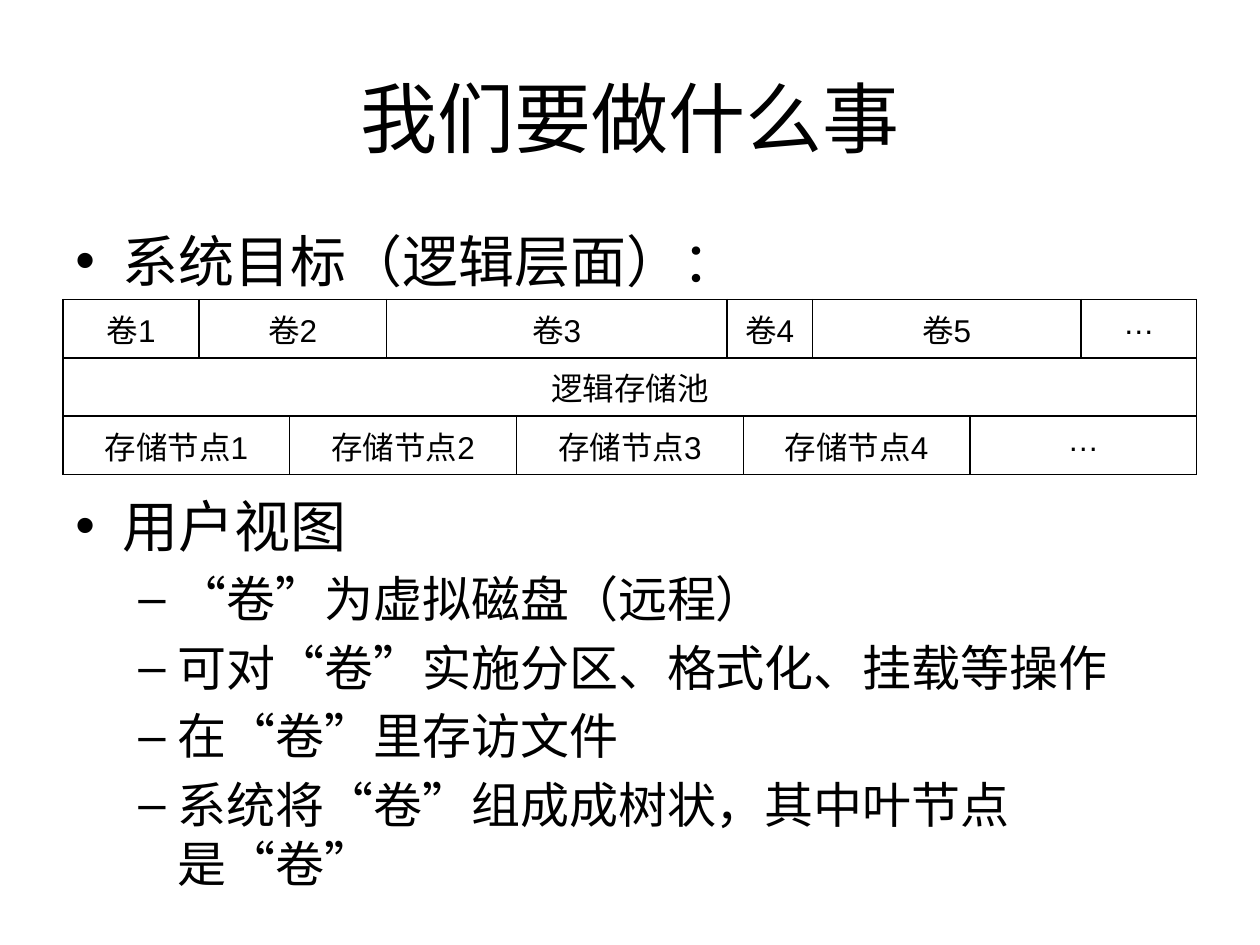
from dataclasses import dataclass

from lxml import etree
from pptx import Presentation
from pptx.dml.color import RGBColor
from pptx.enum import text
from pptx.oxml import ns
from pptx.util import Pt


@dataclass(frozen=True)
class Theme:
    ink: RGBColor = RGBColor(0, 0, 0)
    ink_hex: str = "000000"
    text_font: str = "Calibri"
    table_font: str = "Arial"
    title_size: float = 44
    topic_size: float = 32
    detail_size: float = 28
    table_size: float = 18
    border: float = 1


THEME = Theme()
LEFT, WIDTH = 36, 648
ROW_HEIGHT = 29.25

# Each row lists (label, right edge measured from the table's left side).
VOLUMES = [("卷1", 77.8), ("卷2", 184.8), ("卷3", 379.4),
           ("卷4", 428.4), ("卷5", 581.8), ("…", WIDTH)]
POOL = [("逻辑存储池", WIDTH)]
NODE_LABELS = ["存储节点1", "存储节点2", "存储节点3", "存储节点4", "…"]
NODES = [(label, round(WIDTH * number / len(NODE_LABELS), 1))
         for number, label in enumerate(NODE_LABELS, 1)]

# (text, level, space before)
BULLETS = [
    ("系统目标（逻辑层面）：", 0, 6.4),
    ("用户视图", 0, 113),
    ("“卷”为虚拟磁盘（远程）", 1, 5.6),
    ("可对“卷”实施分区、格式化、挂载等操作", 1, 5.6),
    ("在“卷”里存访文件", 1, 5.6),
    ("系统将“卷”组成成树状，其中叶节点是“卷”", 1, 5.6),
]


def place(shape, left, top, width, height):
    shape.left, shape.top = Pt(left), Pt(top)
    shape.width, shape.height = Pt(width), Pt(height)


def add_run(paragraph, words, size, font):
    run = paragraph.add_run()
    run.text = words
    run.font.size = Pt(size)
    run.font.name = font
    run.font.color.rgb = THEME.ink


def add_title(slide, words):
    title = slide.shapes.title
    place(title, LEFT, 21.6, WIDTH, 90)
    title.text_frame.vertical_anchor = text.MSO_ANCHOR.MIDDLE
    paragraph = title.text_frame.paragraphs[0]
    paragraph.alignment = text.PP_ALIGN.CENTER
    add_run(paragraph, words, THEME.title_size, THEME.text_font)


def add_borders(cell, sides):
    properties = cell._tc.get_or_add_tcPr()
    for position, side in enumerate(sides):
        line = etree.Element(ns.qn(f"a:ln{side}"), w=str(Pt(THEME.border)))
        fill = etree.SubElement(line, ns.qn("a:solidFill"))
        etree.SubElement(fill, ns.qn("a:srgbClr"), val=THEME.ink_hex)
        properties.insert(position, line)


def fill_row(table, row, entries, edges):
    """Merge the grid columns under each entry and write its label."""
    first = 0
    for label, edge in entries:
        last = edges.index(edge)
        origin = table.cell(row, first)
        if last > first:
            origin.merge(table.cell(row, last))
        for column in range(first, last + 1):
            cell = table.cell(row, column)
            cell.fill.background()
            if column == first:
                add_borders(cell, "LRTB")
            else:
                add_borders(cell, "RTB" if column == last else "TB")
        paragraph = origin.text_frame.paragraphs[0]
        paragraph.alignment = text.PP_ALIGN.CENTER
        add_run(paragraph, label, THEME.table_size, THEME.table_font)
        first = last + 1


def add_storage_table(slide, rows):
    """Build the layers on one grid made of every row's cell edges."""
    edges = sorted({edge for row in rows for _, edge in row})
    frame = slide.shapes.add_table(
        len(rows), len(edges), Pt(LEFT), Pt(171.25),
        Pt(WIDTH), Pt(ROW_HEIGHT * len(rows)))
    table = frame.table
    table.first_row = table.horz_banding = False
    for column, start, end in zip(table.columns, [0] + edges, edges):
        column.width = Pt(end - start)
    for index, entries in enumerate(rows):
        table.rows[index].height = Pt(ROW_HEIGHT)
        fill_row(table, index, entries, edges)


def set_bullet(paragraph, mark, margin, hang):
    properties = paragraph._p.get_or_add_pPr()
    properties.set("marL", str(Pt(margin)))
    properties.set("indent", str(-Pt(hang)))
    etree.SubElement(properties, ns.qn("a:buFont"), typeface=THEME.table_font)
    etree.SubElement(properties, ns.qn("a:buChar"), char=mark)


def add_bullets(slide, bullets):
    levels = [("•", 27, 27, THEME.topic_size),
              ("–", 58.5, 22.5, THEME.detail_size)]
    box = slide.shapes.add_textbox(Pt(LEFT), Pt(126), Pt(WIDTH), Pt(376.5))
    frame = box.text_frame
    frame.word_wrap = True
    for index, (words, level, space) in enumerate(bullets):
        paragraph = frame.add_paragraph() if index else frame.paragraphs[0]
        mark, margin, hang, size = levels[level]
        paragraph.level = level
        paragraph.space_before = Pt(space)
        set_bullet(paragraph, mark, margin, hang)
        add_run(paragraph, words, size, THEME.text_font)


def main():
    presentation = Presentation()
    presentation.slide_width, presentation.slide_height = Pt(720), Pt(540)
    slide = presentation.slides.add_slide(presentation.slide_layouts[5])
    add_title(slide, "我们要做什么事")
    add_storage_table(slide, [VOLUMES, POOL, NODES])
    add_bullets(slide, BULLETS)
    presentation.save("out.pptx")


if __name__ == "__main__":
    main()
